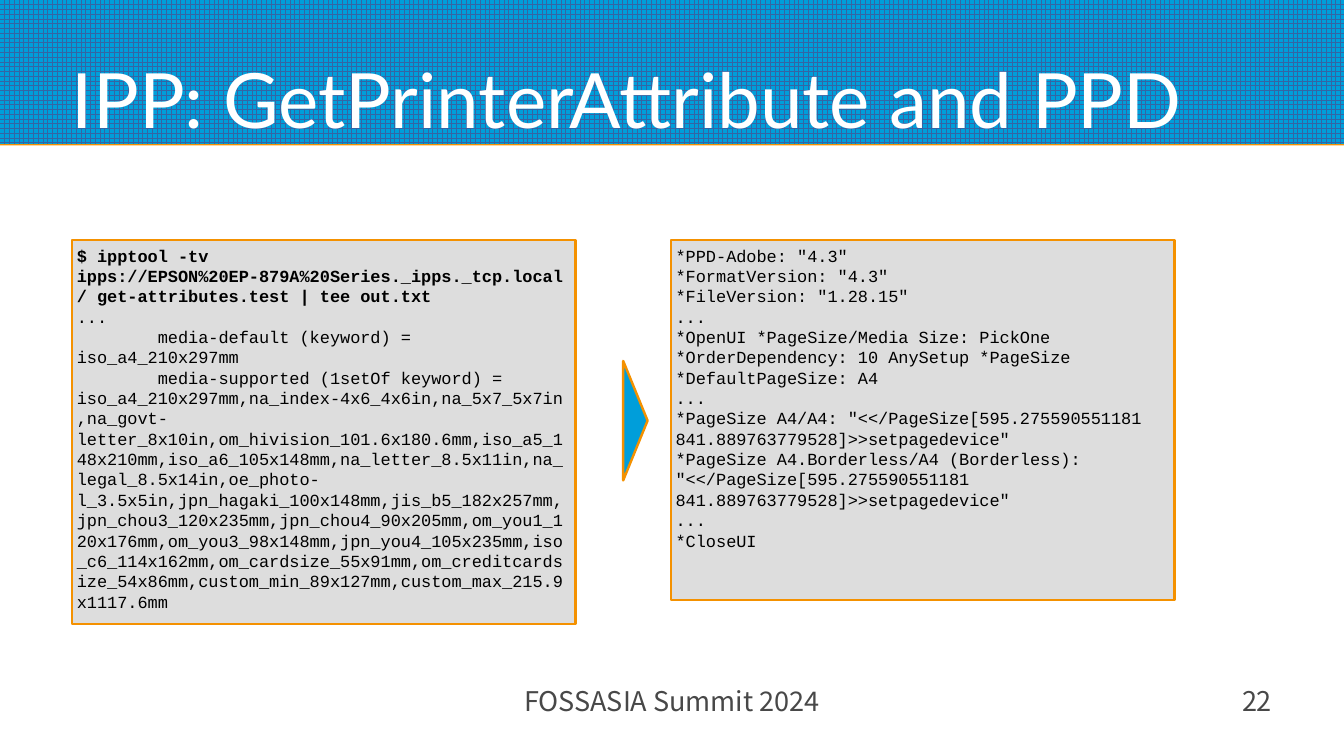
from dataclasses import dataclass

import pptx
import pptx.dml.color
import pptx.enum.dml
import pptx.enum.shapes
import pptx.enum.text
import pptx.oxml
import pptx.oxml.ns
import pptx.util
from pptx.util import Inches

RGBColor = pptx.dml.color.RGBColor
MSO_SHAPE = pptx.enum.shapes.MSO_SHAPE
PP_ALIGN = pptx.enum.text.PP_ALIGN
MSO_ANCHOR = pptx.enum.text.MSO_ANCHOR

BLUE = RGBColor(0x00, 0x9E, 0xDA)
GRID_BLUE = RGBColor(0x34, 0x65, 0xA4)
ORANGE = RGBColor(0xF4, 0x91, 0x00)
GREY = RGBColor(0xDD, 0xDD, 0xDD)
DARK = RGBColor(0x48, 0x48, 0x48)
BLACK = RGBColor(0x00, 0x00, 0x00)
WHITE = RGBColor(0xFF, 0xFF, 0xFF)


@dataclass
class Style:
    font: str
    size: float
    color: RGBColor
    align: PP_ALIGN = PP_ALIGN.LEFT
    anchor: MSO_ANCHOR = MSO_ANCHOR.TOP
    inset: float = 0


@dataclass
class Label:
    text: str
    left: float
    top: float
    width: float
    height: float
    style: Style


@dataclass
class CodePanel:
    left: float
    height: float
    lines: list[str]


CODE = Style("Courier New", 10, BLACK, inset=0.04)
TITLE = Style("Lato", 45, WHITE, anchor=MSO_ANCHOR.BOTTOM)
FOOTER = Style("Noto Sans CJK JP", 16, DARK, PP_ALIGN.CENTER)
NUMBER = Style("Noto Sans CJK JP", 16, DARK, PP_ALIGN.RIGHT)

LABELS = [
    Label("IPP: GetPrinterAttribute and PPD", 0.59, 0.1, 9.84, 1.08, TITLE),
    Label("FOSSASIA Summit 2024", 3.54, 5.61, 3.94, 0.49, FOOTER),
    Label("22", 7.87, 5.61, 2.56, 0.49, NUMBER),
]

PANELS = [
    CodePanel(5.5, 2.95, [
        '*PPD-Adobe: "4.3"',
        '*FormatVersion: "4.3"',
        '*FileVersion: "1.28.15"',
        "...",
        "*OpenUI *PageSize/Media Size: PickOne",
        "*OrderDependency: 10 AnySetup *PageSize",
        "*DefaultPageSize: A4",
        "...",
        '*PageSize A4/A4: "<</PageSize[595.275590551181 841.889763779528]>>setpagedevice"',
        '*PageSize A4.Borderless/A4 (Borderless): '
        '"<</PageSize[595.275590551181 841.889763779528]>>setpagedevice"',
        "...",
        "*CloseUI",
    ]),
    CodePanel(0.59, 3.15, [
        "$ ipptool -tv ipps://EPSON%20EP-879A%20Series._ipps._tcp.local/ "
        "get-attributes.test | tee out.txt",
        "...",
        "        media-default (keyword) = iso_a4_210x297mm",
        "        media-supported (1setOf keyword) = "
        "iso_a4_210x297mm,na_index-4x6_4x6in,na_5x7_5x7in,na_govt-letter_8x10in,"
        "om_hivision_101.6x180.6mm,iso_a5_148x210mm,iso_a6_105x148mm,"
        "na_letter_8.5x11in,na_legal_8.5x14in,oe_photo-l_3.5x5in,"
        "jpn_hagaki_100x148mm,jis_b5_182x257mm,jpn_chou3_120x235mm,"
        "jpn_chou4_90x205mm,om_you1_120x176mm,om_you3_98x148mm,"
        "jpn_you4_105x235mm,iso_c6_114x162mm,om_cardsize_55x91mm,"
        "om_creditcardsize_54x86mm,custom_min_89x127mm,custom_max_215.9x1117.6mm",
    ]),
]


def write(sp: pptx.shapes.base.BaseShape, lines: list[str], style: Style) -> None:
    tf = sp.text_frame
    tf.word_wrap = True
    tf.vertical_anchor = style.anchor
    tf.margin_left = tf.margin_right = Inches(style.inset)
    tf.margin_top = tf.margin_bottom = Inches(style.inset)
    for i, line in enumerate(lines):
        p = tf.add_paragraph() if i else tf.paragraphs[0]
        p.alignment = style.align
        r = p.add_run()
        r.text = line
        r.font.name = style.font
        r.font.size = pptx.util.Pt(style.size)
        r.font.color.rgb = style.color
        r.font.bold = line.startswith("$ ")


def add_outlined(s: pptx.slide.Slide, kind: MSO_SHAPE, left: float, top: float,
                 width: float, height: float,
                 fill: RGBColor) -> pptx.shapes.autoshape.Shape:
    sp = s.shapes.add_shape(kind, Inches(left), Inches(top), Inches(width), Inches(height))
    sp.shadow.inherit = False
    sp.fill.solid()
    sp.fill.fore_color.rgb = fill
    sp.line.color.rgb = ORANGE
    sp.line.width = pptx.util.Pt(1.42)
    return sp


def add_banner(s: pptx.slide.Slide) -> None:
    sp = s.shapes.add_shape(MSO_SHAPE.RECTANGLE, 0, 0, Inches(11.02), Inches(1.18))
    sp.fill.patterned()
    sp.fill.pattern = pptx.enum.dml.MSO_PATTERN.LARGE_GRID
    sp.fill.fore_color.rgb = GRID_BLUE
    sp.fill.back_color.rgb = BLUE
    sp.line.fill.background()
    sp.shadow.inherit = False
    effects = sp.element.spPr.find(pptx.oxml.ns.qn("a:effectLst"))
    effects.append(pptx.oxml.parse_xml(
        f'<a:outerShdw {pptx.oxml.ns.nsdecls("a")} blurRad="0" dist="11430" '
        f'dir="5400000" rotWithShape="0"><a:srgbClr val="{ORANGE}"/></a:outerShdw>'))


def add_label(s: pptx.slide.Slide, label: Label) -> None:
    sp = s.shapes.add_textbox(Inches(label.left), Inches(label.top),
                              Inches(label.width), Inches(label.height))
    write(sp, [label.text], label.style)


def main() -> None:
    prs = pptx.Presentation()
    prs.slide_width = Inches(11.02)
    prs.slide_height = Inches(6.2)
    s = prs.slides.add_slide(prs.slide_layouts[6])
    add_banner(s)
    for panel in PANELS:
        sp = add_outlined(s, MSO_SHAPE.RECTANGLE, panel.left, 1.97, 4.13, panel.height, GREY)
        write(sp, panel.lines, CODE)
    arrow = add_outlined(s, MSO_SHAPE.ISOSCELES_TRIANGLE, 4.72, 3.35, 0.98, 0.2, BLUE)
    arrow.rotation = 90
    for label in LABELS:
        add_label(s, label)
    prs.save("out.pptx")


if __name__ == "__main__":
    main()
